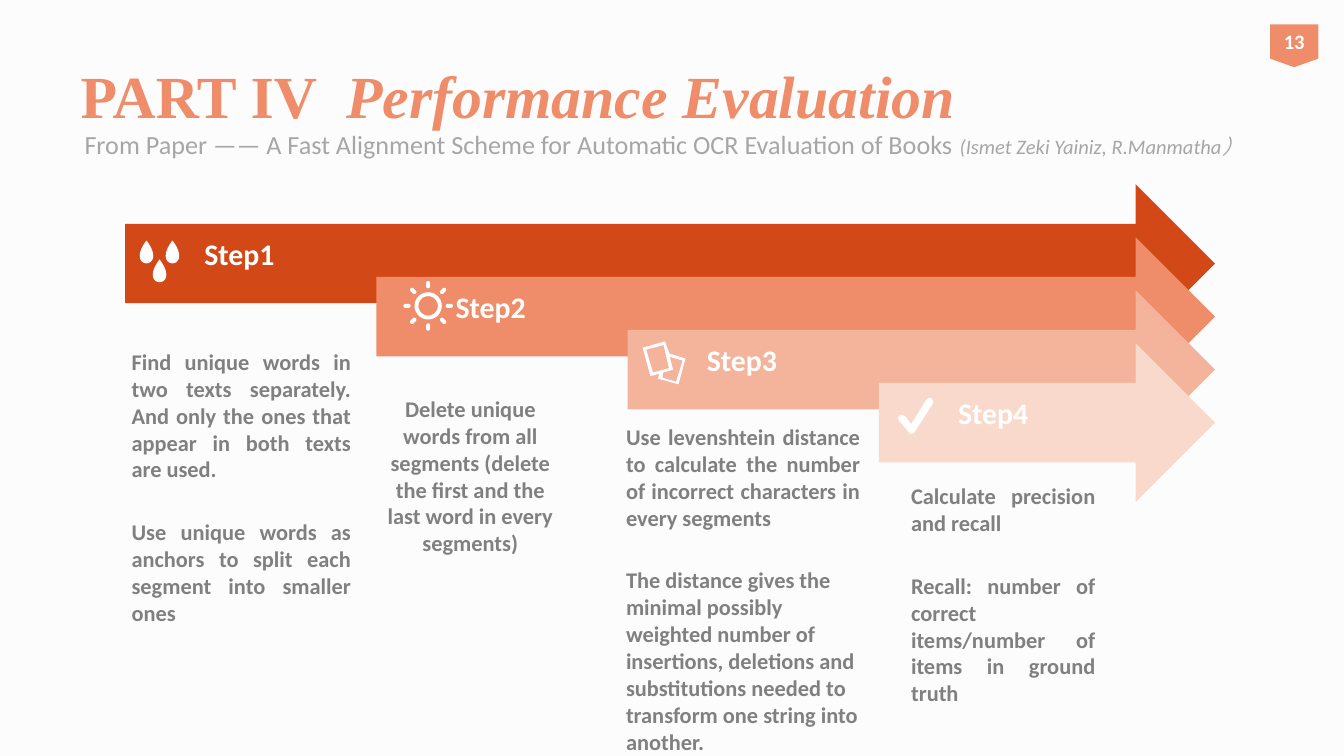
from math import cos, pi, sin

from pptx import Presentation
from pptx.dml.color import RGBColor
from pptx.enum.shapes import MSO_SHAPE
from pptx.enum.text import MSO_ANCHOR, MSO_AUTO_SIZE, PP_ALIGN
from pptx.util import Pt

WHITE = RGBColor(0xFF, 0xFF, 0xFF)
BACKGROUND = RGBColor(0xFC, 0xFC, 0xFC)
CORAL = RGBColor(0xEF, 0x8C, 0x6A)
BODY_GRAY = RGBColor(0x80, 0x80, 0x80)
SUBTITLE_GRAY = RGBColor(0xA6, 0xA6, 0xA6)
ARROW_COLORS = [RGBColor(0xD3, 0x48, 0x17), CORAL,
                RGBColor(0xF4, 0xB3, 0x9B), RGBColor(0xFA, 0xD9, 0xCD)]
LEFT, CENTER, JUSTIFY = PP_ALIGN.LEFT, PP_ALIGN.CENTER, PP_ALIGN.JUSTIFY

STEP_COLUMNS = [
    ((63.4, 182.9, 131.8, 174.2), [
        ("Find unique words in two texts separately. And only the ones that "
         "appear in both texts are used.", JUSTIFY),
        ("Use unique words as anchors to split each segment into smaller ones",
         JUSTIFY)]),
    ((197.3, 208.1, 109.4, 94.3), [
        ("Delete unique words from all segments (delete the first and the last "
         "word in every segments)", CENTER)]),
    ((328.3, 223.2, 139.7, 187.9), [
        ("Use levenshtein distance to calculate the number of incorrect "
         "characters in every segments", JUSTIFY),
        ("The distance gives the minimal possibly weighted number of "
         "insertions, deletions and substitutions needed to transform one "
         "string into another.", LEFT)]),
    ((481, 254.9, 113, 129.6), [
        ("Calculate precision and recall", JUSTIFY),
        ("Recall: number of correct items/number of items in ground truth",
         JUSTIFY)]),
]


def style_run(run, size, color, bold=False, italic=False, name="Calibri"):
    """Set the font of one run."""
    font = run.font
    font.name, font.size, font.bold, font.italic = name, Pt(size), bold, italic
    font.color.rgb = color


def fill_plain(shape, color):
    """Give a shape a solid fill without line or shadow."""
    shape.shadow.inherit = False
    shape.fill.solid()
    shape.fill.fore_color.rgb = color
    shape.line.fill.background()


def add_text_box(slide, box, anchor):
    """Add a wrapping text box and return its text frame."""
    text_frame = slide.shapes.add_textbox(*map(Pt, box)).text_frame
    text_frame.word_wrap = True
    text_frame.vertical_anchor = anchor
    return text_frame


def set_title(slide, box):
    """Place and format the title placeholder."""
    title = slide.shapes.title
    title.left, title.top, title.width, title.height = map(Pt, box)
    text_frame = title.text_frame
    text_frame.auto_size = MSO_AUTO_SIZE.NONE
    text_frame.vertical_anchor = MSO_ANCHOR.MIDDLE
    paragraph = text_frame.paragraphs[0]
    paragraph.alignment = LEFT
    for text, italic in (("PART IV  ", False), ("Performance Evaluation", True)):
        run = paragraph.add_run()
        run.text = text
        style_run(run, 32, CORAL, True, italic, "Times New Roman")


def add_subtitle(slide, box):
    """Add the line naming the paper and its authors."""
    paragraph = add_text_box(slide, box, MSO_ANCHOR.MIDDLE).paragraphs[0]
    for text, size, italic in (
            ("From Paper —— A Fast Alignment Scheme for Automatic OCR "
             "Evaluation of Books ", 14, False),
            ("(Ismet Zeki Yainiz, R.Manmatha）", 11, True)):
        run = paragraph.add_run()
        run.text = text
        style_run(run, size, SUBTITLE_GRAY, italic=italic)


def add_page_number(slide, box):
    """Add the page number tag."""
    tag = slide.shapes.add_shape(MSO_SHAPE.FLOWCHART_OFFPAGE_CONNECTOR,
                                 *map(Pt, box))
    fill_plain(tag, CORAL)
    text_frame = tag.text_frame
    text_frame.margin_left = text_frame.margin_right = 0
    text_frame.margin_top = text_frame.margin_bottom = 0
    text_frame.vertical_anchor = MSO_ANCHOR.MIDDLE
    text_frame.text = "13"
    paragraph = text_frame.paragraphs[0]
    paragraph.alignment = CENTER
    style_run(paragraph.runs[0], 11, WHITE, True)


def add_step_arrow(slide, box, label, color):
    """Add one arrow with its step label."""
    arrow = slide.shapes.add_shape(MSO_SHAPE.RIGHT_ARROW, *map(Pt, box))
    fill_plain(arrow, color)
    text_frame = arrow.text_frame
    text_frame.margin_left, text_frame.margin_right = Pt(42.5), Pt(20)
    text_frame.margin_top, text_frame.margin_bottom = Pt(5), Pt(13.7)
    text_frame.vertical_anchor = MSO_ANCHOR.MIDDLE
    text_frame.text = label
    paragraph = text_frame.paragraphs[0]
    paragraph.alignment = LEFT
    paragraph.line_spacing = 0.9
    style_run(paragraph.runs[0], 16, WHITE, True)


def add_step_column(slide, box, passages):
    """Add the explanation below one arrow."""
    text_frame = add_text_box(slide, box, MSO_ANCHOR.TOP)
    for index, (text, alignment) in enumerate(passages):
        paragraph = text_frame.paragraphs[0] if index == 0 else text_frame.add_paragraph()
        paragraph.text = text
        paragraph.alignment = alignment
        paragraph.space_before = Pt(19.2 if index else 0)
        style_run(paragraph.runs[0], 12, BODY_GRAY, True)


def add_icon(slide, left, top, outlines):
    """Draw a white icon from closed outlines relative to its corner."""
    builder = None
    for outline in outlines:
        points = [(Pt(x), Pt(y)) for x, y in outline]
        if builder is None:
            builder = slide.shapes.build_freeform(*points[0], scale=1.0)
        else:
            builder.move_to(*points[0])
        builder.add_line_segments(points[1:], close=True)
    fill_plain(builder.convert_to_shape(Pt(left), Pt(top)), WHITE)


def drop_outline(center, top):
    """Return the outline of a water drop."""
    angles = [2 * pi * index / 36 for index in range(36)]
    return [(center + 4.7 * sin(angle) * sin(angle / 2),
             top + 6.1 * (1 - cos(angle))) for angle in angles]


def circle_outline(center, radius):
    """Return the outline of a circle."""
    return [(center + radius * cos(pi * index / 24),
             center + radius * sin(pi * index / 24)) for index in range(48)]


def ray_outline(center, angle):
    """Return the outline of a sun ray with round ends."""
    inner, outer, half_width = 10.5, 12.2, 1.1
    ends = [(outer if index <= 6 else inner, -pi / 2 + pi * (index - index // 7) / 6)
            for index in range(14)]
    points = [(distance + half_width * cos(turn), half_width * sin(turn))
              for distance, turn in ends]
    return [(center + x * cos(angle) - y * sin(angle),
             center + x * sin(angle) + y * cos(angle)) for x, y in points]


def add_step_icons(slide):
    """Add drops, sun, sheets and check mark to the arrows."""
    add_icon(slide, 74.9, 128.9, [drop_outline(3.6, 0), drop_outline(17.5, 0),
                                  drop_outline(10.6, 10.1)])
    add_icon(slide, 216, 150.5,
             [circle_outline(13.4, 7.3), circle_outline(13.4, 5.2)]
             + [ray_outline(13.4, index * pi / 4) for index in range(8)])
    add_icon(slide, 344.2, 182.9, [
        [(0, 3.4), (12, 0), (14.4, 6.5), (23, 9.2), (19.3, 23),
         (8.3, 20), (9, 17.3), (4.3, 18.7)],
        [(2, 4.4), (11.3, 2), (14.2, 14.4), (5.6, 16.6)],
        [(18, 21.6), (10.7, 19.5), (10.9, 16.8), (16.4, 15.2), (14.6, 8.3), (21.5, 10.3)],
    ])
    add_icon(slide, 481, 213.1, [
        [(0, 10.8), (0.8, 9.5), (2.3, 9.1), (3.6, 9.7), (7.2, 14), (15, 1.4),
         (16.2, 0.2), (17.8, 0.2), (18.9, 1.3), (18.7, 3.2), (9, 18.4),
         (7.6, 19.4), (6, 18.7), (0.6, 12.2)]])


presentation = Presentation()
presentation.slide_width, presentation.slide_height = Pt(720), Pt(405)
slide = presentation.slides.add_slide(presentation.slide_layouts[5])
slide.background.fill.solid()
slide.background.fill.fore_color.rgb = BACKGROUND
set_title(slide, (36, 16.6, 635.8, 67.7))
add_subtitle(slide, (38.2, 62.6, 648, 28.8))
add_page_number(slide, (680.4, 13, 25.9, 23))
for step, color in enumerate(ARROW_COLORS):
    arrow_left = 67 + 134.6 * step
    arrow_box = (arrow_left, 98.7 + 28.4 * step, 650.9 - arrow_left, 85)
    add_step_arrow(slide, arrow_box, f"Step{step + 1}", color)
add_step_icons(slide)
for column_box, passages in STEP_COLUMNS:
    add_step_column(slide, column_box, passages)
presentation.save("out.pptx")
